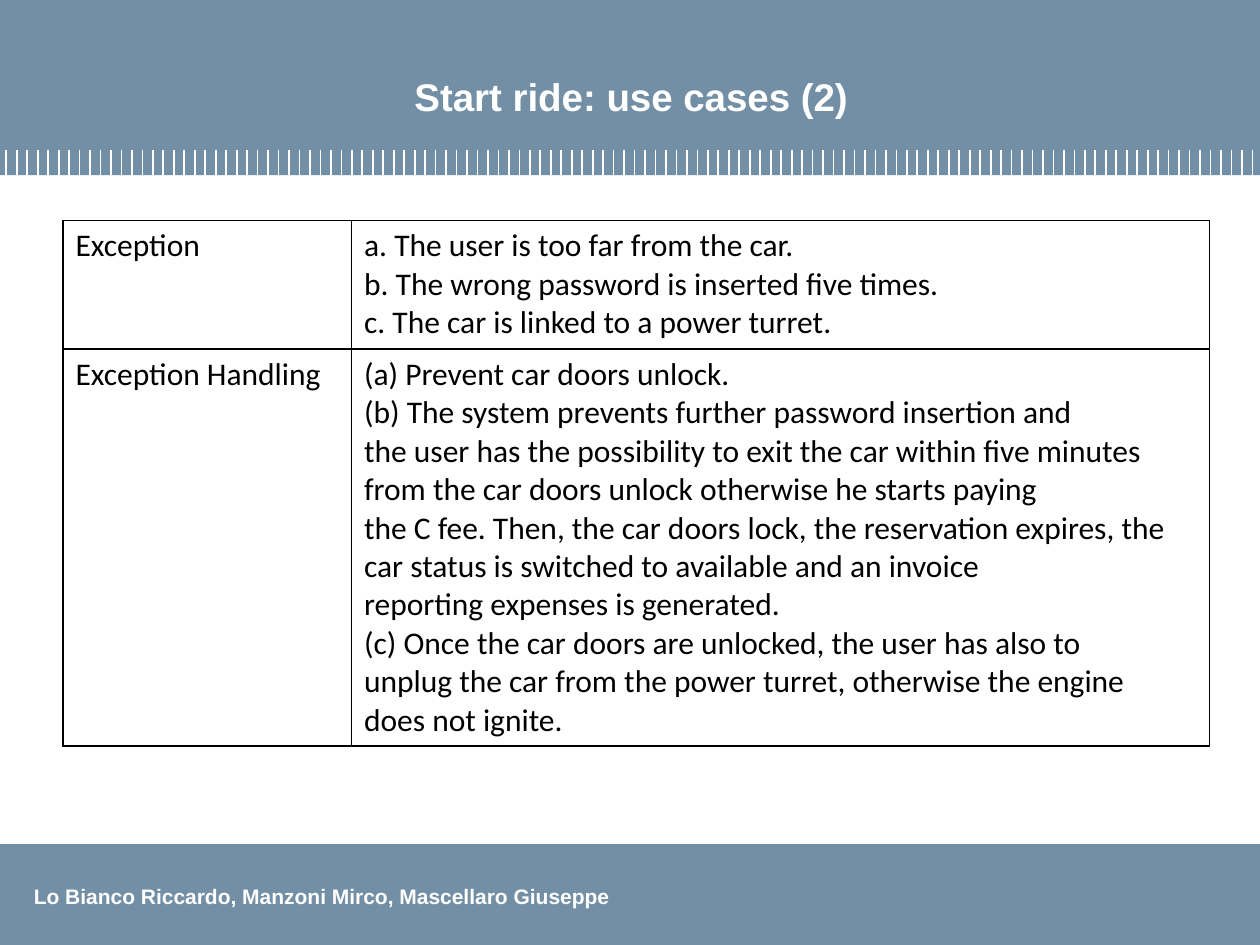
from lxml.etree import SubElement
from pptx import Presentation
from pptx.dml.color import RGBColor
from pptx.enum.shapes import MSO_CONNECTOR as Connector, MSO_SHAPE as Shape
from pptx.enum.text import MSO_ANCHOR as Anchor, PP_ALIGN as Align
from pptx.oxml import parse_xml
from pptx.oxml.ns import nsdecls, qn
from pptx.util import Inches, Pt

SLATE = RGBColor(0x72, 0x8F, 0xA5)
WHITE = RGBColor(0xFF, 0xFF, 0xFF)
BLACK = RGBColor(0x00, 0x00, 0x00)

TITLE_FONT = {"name": "Arial", "size": Pt(22), "bold": True}
FOOTER_FONT = {"name": "Arial", "size": Pt(12), "bold": True}
CELL_FONT = {"name": "Calibri", "size": Pt(18), "bold": False}

TICK_COUNT = 120
TICK_FIRST, TICK_LAST = 0.05, 9.94
TICK_TOP, TICK_BOTTOM = 1.19, 1.39

COLUMN_WIDTHS = [2.29, 6.81]
ROW_HEIGHTS = [1.02, 3.15]
USE_CASE_ROWS = [
    (
        ["Exception"],
        [
            "a. The user is too far from the car.",
            "b. The wrong password is inserted five times.",
            "c. The car is linked to a power turret.",
        ],
    ),
    (
        ["Exception Handling"],
        [
            "(a) Prevent car doors unlock.",
            "(b) The system prevents further password insertion and",
            "the user has the possibility to exit the car within five minutes "
            "from the car doors unlock otherwise he starts paying",
            "the C fee. Then, the car doors lock, the reservation expires, the "
            "car status is switched to available and an invoice",
            "reporting expenses is generated.",
            "(c) Once the car doors are unlocked, the user has also to",
            "unplug the car from the power turret, otherwise the engine",
            "does not ignite.",
        ],
    ),
]


def format_font(font, values, color):
    for name, value in values.items():
        setattr(font, name, value)
    font.color.rgb = color


def write_lines(text_frame, lines, values, color, alignment=Align.LEFT):
    text_frame.text = "\n".join(lines)
    for paragraph in text_frame.paragraphs:
        paragraph.alignment = alignment
        format_font(paragraph.font, values, color)


def add_band(slide, top, height):
    band = slide.shapes.add_shape(
        Shape.RECTANGLE, Inches(0), Inches(top), Inches(10), Inches(height))
    band.shadow.inherit = False
    band.fill.solid()
    band.fill.fore_color.rgb = SLATE
    band.line.fill.background()


def add_ticks(slide):
    group = slide.shapes.add_group_shape()
    step = (TICK_LAST - TICK_FIRST) / (TICK_COUNT - 1)
    for index in range(TICK_COUNT):
        x = Inches(TICK_FIRST + index * step)
        tick = group.shapes.add_connector(
            Connector.STRAIGHT, x, Inches(TICK_TOP), x, Inches(TICK_BOTTOM))
        tick.line.color.rgb = WHITE
        tick.line.width = Pt(1)
        SubElement(tick.element.spPr, qn("a:effectLst"))


def add_footer(slide, text):
    footer = slide.shapes.add_textbox(
        Inches(0.17), Inches(6.96), Inches(4.83), Inches(0.3))
    footer.text_frame.word_wrap = False
    write_lines(footer.text_frame, [text], FOOTER_FONT, WHITE)


def place_title(slide, text):
    title = slide.shapes.title
    title.left, title.top = Inches(0.32), Inches(0.15)
    title.width, title.height = Inches(9.38), Inches(0.92)
    title.text_frame.vertical_anchor = Anchor.BOTTOM
    title.text_frame.margin_bottom = Inches(0.12)
    write_lines(title.text_frame, [text], TITLE_FONT, WHITE, Align.CENTER)
    # Bring the title in front of the header band
    title.element.getparent().append(title.element)


def add_borders(cell):
    properties = cell._tc.get_or_add_tcPr()
    for position, side in enumerate(("lnL", "lnR", "lnT", "lnB")):
        properties.insert(position, parse_xml(
            f'<a:{side} {nsdecls("a")} w="{Pt(1)}"><a:solidFill>'
            f'<a:srgbClr val="{BLACK}"/></a:solidFill></a:{side}>'))


def add_use_case_table(slide):
    table = slide.shapes.add_table(
        len(ROW_HEIGHTS), len(COLUMN_WIDTHS), Inches(0.5), Inches(1.75),
        Inches(sum(COLUMN_WIDTHS)), Inches(sum(ROW_HEIGHTS))).table
    table.first_row = table.horz_banding = False
    for column, width in zip(table.columns, COLUMN_WIDTHS):
        column.width = Inches(width)
    for row, height, contents in zip(table.rows, ROW_HEIGHTS, USE_CASE_ROWS):
        row.height = Inches(height)
        for cell, lines in zip(row.cells, contents):
            cell.fill.background()
            write_lines(cell.text_frame, lines, CELL_FONT, BLACK)
            add_borders(cell)


def main():
    presentation = Presentation()
    presentation.slide_width = Inches(10)
    presentation.slide_height = Inches(7.5)
    slide = presentation.slides.add_slide(presentation.slide_layouts[5])

    # Header and footer
    add_band(slide, 0, 1.39)
    add_band(slide, 6.7, 0.8)
    add_footer(slide, "Lo Bianco Riccardo, Manzoni Mirco, Mascellaro Giuseppe")
    add_ticks(slide)
    place_title(slide, "Start ride: use cases (2)")

    # Content
    add_use_case_table(slide)
    presentation.save("out.pptx")


if __name__ == "__main__":
    main()
